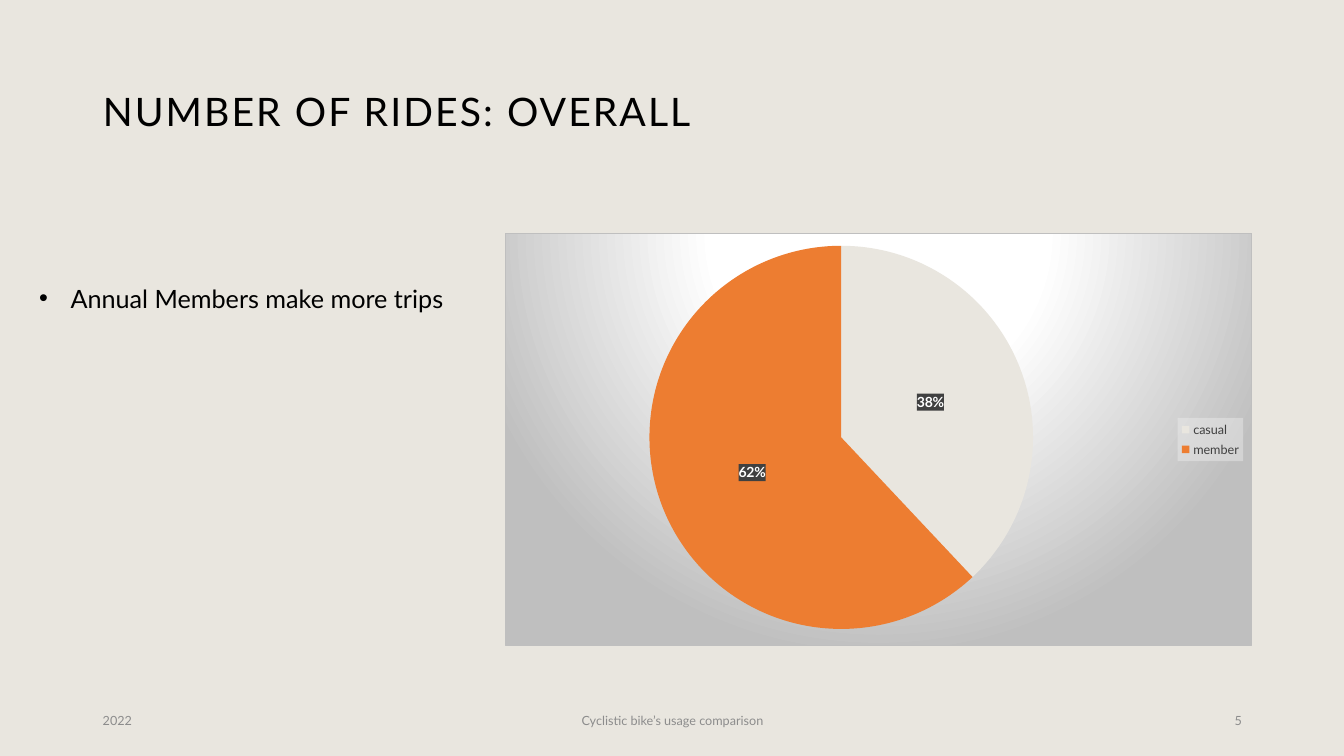
from lxml import etree
from pptx import Presentation
from pptx.chart.data import CategoryChartData
from pptx.dml.color import RGBColor
from pptx.enum.chart import XL_CHART_TYPE, XL_LABEL_POSITION, XL_LEGEND_POSITION
from pptx.enum.text import MSO_ANCHOR, PP_ALIGN
from pptx.oxml import parse_xml
from pptx.oxml.ns import nsdecls, qn
from pptx.util import Cm, Pt

FONT = "Lato"
COLORS = {
    "background": "E9E6DF",
    "text": "000000",
    "footer": "8C8C8C",
    "casual": "E9E6DF",
    "member": "ED7D31",
    "frame": "BFBFBF",
    "glow": "FFFFFF",
    "legend_text": "404040",
    "legend_box": "F2F2F2",
    "label_text": "FFFFFF",
    "label_box": "404040",
}
RIDES = {"casual": 38, "member": 62}


def rgb(name):
    return RGBColor.from_string(COLORS[name])


def style_font(font, size, color, bold=False):
    font.name, font.size, font.bold = FONT, Pt(size), bold
    font.color.rgb = rgb(color)


def write(s, text, size, color="text", align=PP_ALIGN.LEFT,
          anchor=MSO_ANCHOR.MIDDLE, spacing=None):
    tf = s.text_frame
    tf.word_wrap = True
    tf.vertical_anchor = anchor
    p = tf.paragraphs[0]
    p.alignment = align
    r = p.add_run()
    r.text = text
    style_font(r.font, size, color)
    if spacing:
        r.font._element.set("spc", str(round(spacing * 100)))
    return p


def add_title(slide, text, x, y, w, h):
    s = slide.shapes.title
    s.left, s.top, s.width, s.height = Cm(x), Cm(y), Cm(w), Cm(h)
    write(s, text, 28, spacing=1.5).line_spacing = 0.9


def add_bullet(slide, text, x, y, w, h):
    s = slide.shapes.add_textbox(Cm(x), Cm(y), Cm(w), Cm(h))
    p = write(s, text, 18, anchor=MSO_ANCHOR.TOP)
    pPr = p._p.get_or_add_pPr()
    pPr.set("marL", str(Cm(0.79)))
    pPr.set("indent", str(-Cm(0.79)))
    etree.SubElement(pPr, qn("a:buFont")).set("typeface", "Arial")
    etree.SubElement(pPr, qn("a:buChar")).set("char", "•")


def add_footer(slide, date, caption, number, x, y, w, h):
    side, middle = 7.62, 11.43
    parts = [
        (date, x, side, PP_ALIGN.LEFT),
        (caption, x + (w - middle) / 2, middle, PP_ALIGN.CENTER),
        (number, x + w - side, side, PP_ALIGN.RIGHT),
    ]
    for text, left, width, align in parts:
        s = slide.shapes.add_textbox(Cm(left), Cm(y), Cm(width), Cm(h))
        write(s, text, 9, "footer", align)


def box_format(fill, line="<a:ln><a:noFill/></a:ln>"):
    """Return a chart part's spPr element with the given fill and line."""
    return parse_xml(f'<c:spPr {nsdecls("c", "a")}>{fill}{line}</c:spPr>')


def solid(color, alpha):
    return (f'<a:solidFill><a:srgbClr val="{COLORS[color]}">'
            f'<a:alpha val="{alpha * 1000}"/></a:srgbClr></a:solidFill>')


def format_chart_area(chart):
    stops = "".join(
        f'<a:gs pos="{pos * 1000}"><a:srgbClr val="{COLORS[color]}"/></a:gs>'
        for pos, color in [(0, "glow"), (39, "glow"), (100, "frame")])
    fill = (f'<a:gradFill><a:gsLst>{stops}</a:gsLst><a:path path="circle">'
            '<a:fillToRect l="50000" t="-80000" r="50000" b="180000"/>'
            '</a:path></a:gradFill>')
    line = f'<a:ln w="{Pt(0.75)}">{solid("frame", 100)}</a:ln>'
    chart._chartSpace.find(qn("c:chart")).addnext(box_format(fill, line))


def place_plot(chart, **bounds):
    """Set the pie's bounds as fractions of the chart area."""
    area = chart._chartSpace.find(f'{qn("c:chart")}/{qn("c:plotArea")}')
    for old in area.findall(qn("c:layout")):
        area.remove(old)
    values = "".join(f'<c:{k} val="{v}"/>' for k, v in bounds.items())
    area.insert(0, parse_xml(
        f'<c:layout {nsdecls("c")}><c:manualLayout>'
        '<c:layoutTarget val="inner"/><c:xMode val="edge"/><c:yMode val="edge"/>'
        f'{values}</c:manualLayout></c:layout>'))


def add_rides_pie(slide, x, y, w, h):
    data = CategoryChartData()
    data.categories = list(RIDES)
    data.add_series("Series 1", list(RIDES.values()))
    chart = slide.shapes.add_chart(
        XL_CHART_TYPE.PIE, Cm(x), Cm(y), Cm(w), Cm(h), data).chart
    chart.has_title = False
    style_font(chart.font, 10, "text")
    format_chart_area(chart)
    place_plot(chart, x=0.19, y=0.03, w=0.52, h=0.93)

    plot = chart.plots[0]
    plot.vary_by_categories = True
    for i, name in enumerate(RIDES):
        fmt = plot.series[0].points[i].format
        fmt.fill.solid()
        fmt.fill.fore_color.rgb = rgb(name)
        fmt.line.fill.background()

    labels = plot.series[0].data_labels
    labels.show_percentage, labels.show_value = True, False
    labels.number_format, labels.number_format_is_linked = "0%", False
    labels.position = XL_LABEL_POSITION.CENTER
    style_font(labels.font, 10, "label_text", bold=True)
    labels._element.find(qn("c:txPr")).addprevious(
        box_format(solid("label_box", 90)))

    chart.has_legend = True
    legend = chart.legend
    legend.position = XL_LEGEND_POSITION.RIGHT
    legend.include_in_layout = False
    style_font(legend.font, 9, "legend_text")
    legend._element.find(qn("c:txPr")).addprevious(
        box_format(solid("legend_box", 40)))


def build_rides_slide(prs):
    slide = prs.slides.add_slide(prs.slide_layouts[5])
    slide.background.fill.solid()
    slide.background.fill.fore_color.rgb = rgb("background")
    margin, width = 2.34, 29.21
    add_title(slide, "NUMBER OF RIDES: OVERALL", margin, 1.02, width, 3.68)
    add_footer(slide, "2022", "Cyclistic bike’s usage comparison", "5",
               margin, 17.65, width, 1.02)
    add_rides_pie(slide, 12.73, 5.87, 18.82, 10.41)
    add_bullet(slide, "Annual Members make more trips", 0.74, 7.01, 10.8, 1.02)


def main():
    prs = Presentation()
    prs.slide_width, prs.slide_height = Cm(33.87), Cm(19.05)
    build_rides_slide(prs)
    prs.save("out.pptx")


if __name__ == "__main__":
    main()
